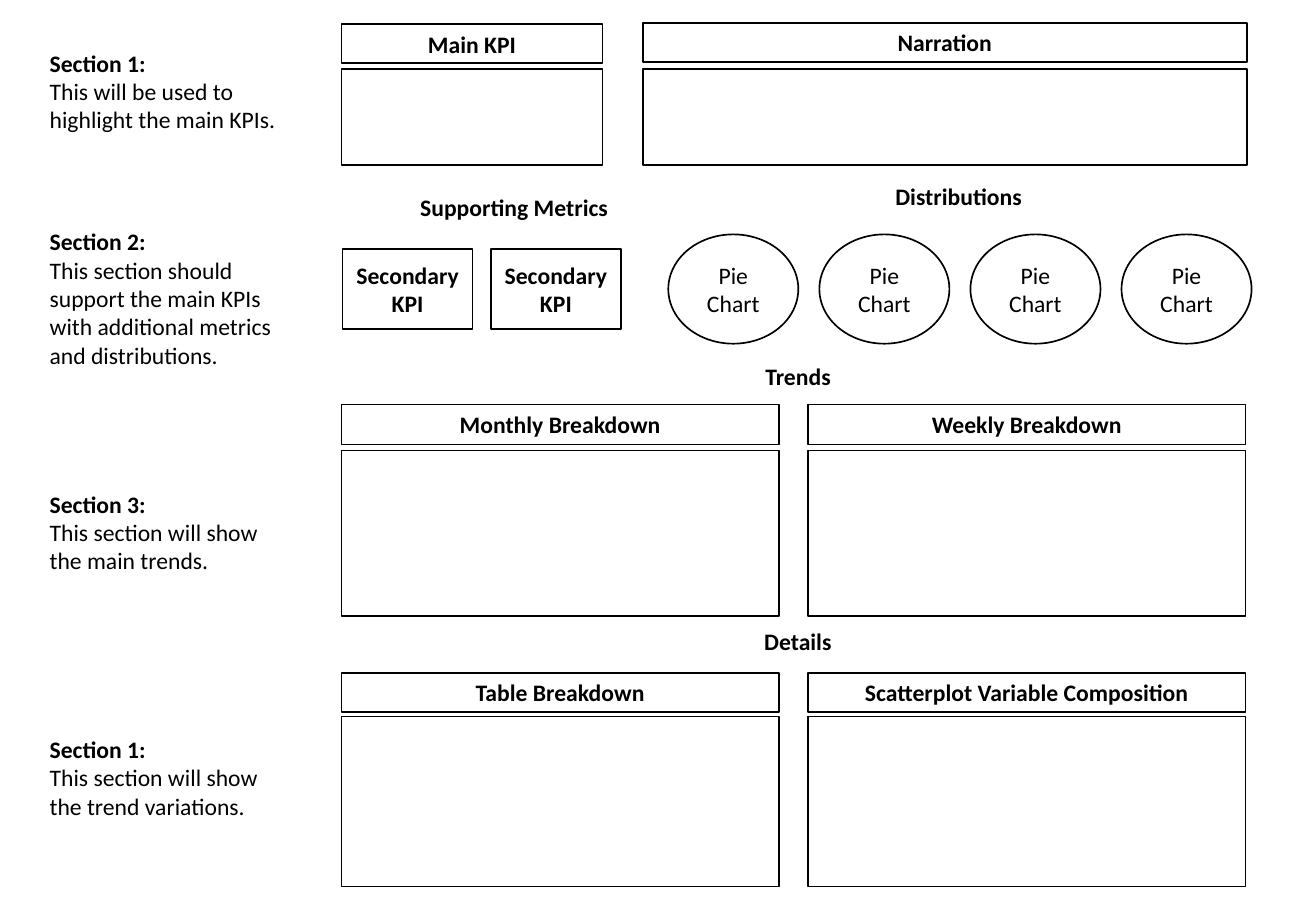
import pptx
import pptx.util
import pptx.dml.color
import pptx.enum.shapes
import pptx.enum.text

SCALE = 9144
FONT, SIZE = "Calibri", 14
BLACK, WHITE = "000000", "FFFFFF"

PANELS = [
    ("Main KPI", 281, 20, 215, 32, 57, 79),
    ("Narration", 529, 19, 497, 32, 57, 79),
    ("Monthly Breakdown", 281, 333, 360, 33, 371, 136),
    ("Weekly Breakdown", 665, 333, 360, 33, 371, 136),
    ("Table Breakdown", 281, 554, 360, 32, 590, 140),
    ("Scatterplot Variable Composition", 665, 554, 360, 32, 590, 140),
]
METRICS = ["Secondary KPI"] * 2
PIES = ["Pie Chart"] * 4
HEADS = [
    ("Supporting Metrics", 336, 154, 183),
    ("Distributions", 727, 145, 126),
    ("Trends", 620, 293, 74),
    ("Details", 619, 511, 76),
]
NOTES = [
    ("Section 1:", "This will be used to highlight the main KPIs.", 35, 81),
    ("Section 2:", "This section should support the main KPIs with additional metrics and distributions.", 182, 128),
    ("Section 3:", "This section will show the main trends.", 398, 81),
    ("Section 1:", "This section will show the trend variations.", 600, 81),
]

RECT = pptx.enum.shapes.MSO_SHAPE.RECTANGLE
OVAL = pptx.enum.shapes.MSO_SHAPE.OVAL
MIDDLE = pptx.enum.text.MSO_ANCHOR.MIDDLE
CENTER = pptx.enum.text.PP_ALIGN.CENTER
GROW = pptx.enum.text.MSO_AUTO_SIZE.SHAPE_TO_FIT_TEXT


def px(*sizes):
    return [pptx.util.Emu(round(size * SCALE)) for size in sizes]


def color(value):
    return pptx.dml.color.RGBColor.from_string(value)


def style(para, bold):
    for run in para.runs:
        run.font.name = FONT
        run.font.size = pptx.util.Pt(SIZE)
        run.font.bold = bold
        run.font.color.rgb = color(BLACK)


def box(kind, x, y, w, h, text="", bold=True):
    shape = slide.shapes.add_shape(kind, *px(x, y, w, h))
    shape.shadow.inherit = False
    shape.fill.solid()
    shape.fill.fore_color.rgb = color(WHITE)
    shape.line.color.rgb = color(BLACK)
    shape.line.width = pptx.util.Pt(1)
    if text:
        frame = shape.text_frame
        frame.text = text
        frame.word_wrap = True
        frame.vertical_anchor = MIDDLE
        frame.paragraphs[0].alignment = CENTER
        style(frame.paragraphs[0], bold)


def label(lines, x, y, w, h, wrap):
    frame = slide.shapes.add_textbox(*px(x, y, w, h)).text_frame
    frame.text = "\n".join(lines)
    frame.word_wrap = wrap
    frame.auto_size = GROW
    for i, para in enumerate(frame.paragraphs):
        style(para, i == 0)


deck = pptx.Presentation()
deck.slide_width, deck.slide_height = px(1083, 750)
slide = deck.slides.add_slide(deck.slide_layouts[6])

for title, x, y, w, h, top, tall in PANELS:
    box(RECT, x, y, w, h, title)
    box(RECT, x, top, w, tall)
for i, text in enumerate(METRICS):
    box(RECT, 282 + 122 * i, 205, 107, 66, text)
for i, text in enumerate(PIES):
    box(OVAL, 550 + 373 * i / 3, 193, 107, 90, text, False)
for text, x, y, w in HEADS:
    label([text], x, y, w, 34, False)
for head, body, y, h in NOTES:
    label([head, body], 31, y, 215, h, True)

deck.save("out.pptx")
